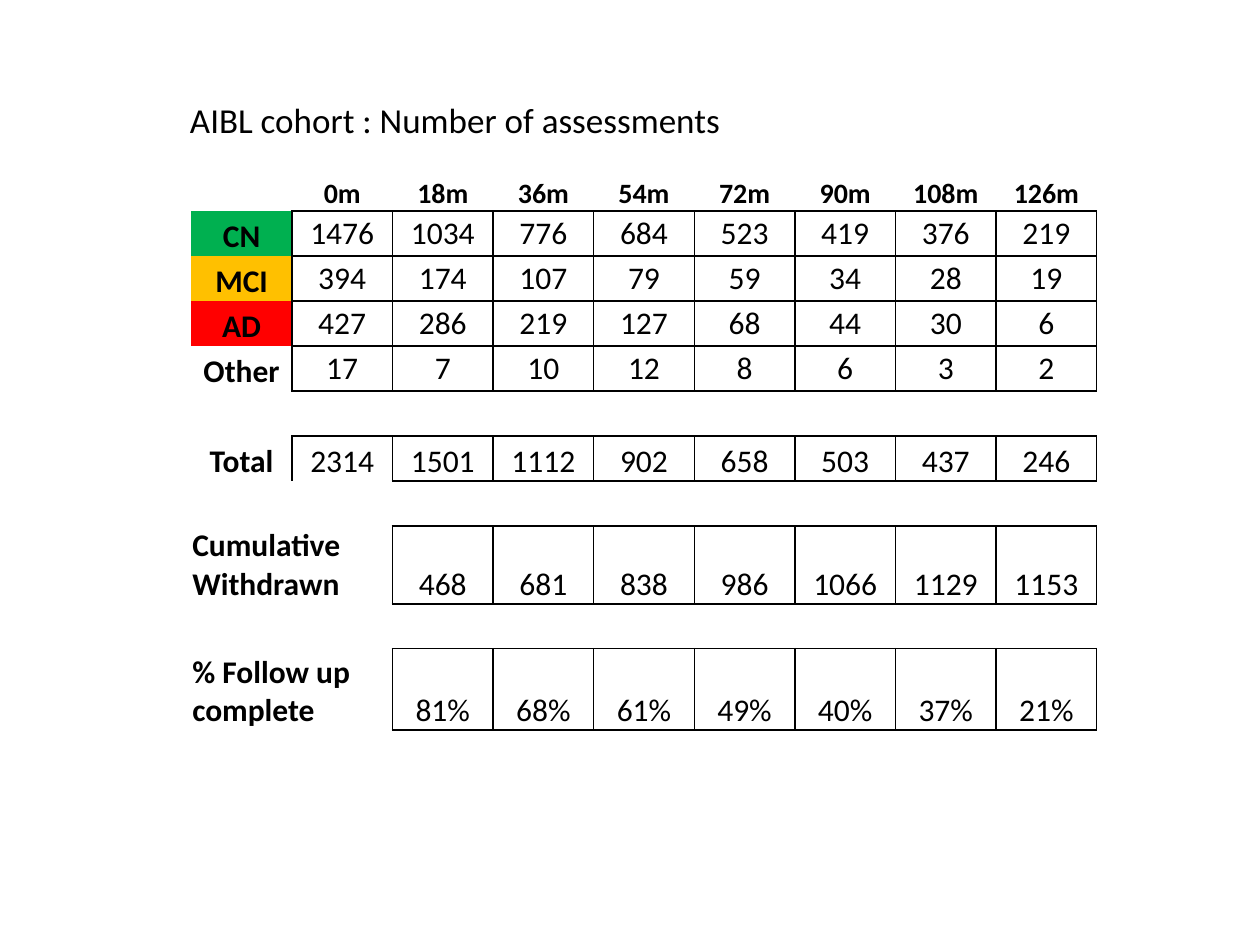
from dataclasses import dataclass

import lxml.etree
import pptx
import pptx.dml.color
import pptx.enum.text
import pptx.oxml.ns
import pptx.util

Pt = pptx.util.Pt
ALIGN = pptx.enum.text.PP_ALIGN
ANCHOR = pptx.enum.text.MSO_ANCHOR

COLORS = {"text": "000000", "border": "000000",
          "CN": "00B050", "MCI": "FFC000", "AD": "FF0000"}
FONT = "Calibri"
COL_W, ROW_H, LAST_ROW_H = 57.5, 25.7, 46.5
# Border tag and the step (row, column) to the neighbour on that side
SIDES = {"a:lnL": (0, -1), "a:lnR": (0, 1), "a:lnT": (-1, 0), "a:lnB": (1, 0)}


@dataclass
class Row:
    label: str = ""
    values: str = ""
    anchor: ANCHOR = ANCHOR.BOTTOM
    header: bool = False
    wide: bool = False  # label spans the first two columns

    def texts(self) -> list[str]:
        texts = [self.label] + [""] * self.wide + self.values.split()
        return texts + [""] * (9 - len(texts))


ROWS = [
    Row("", "0m 18m 36m 54m 72m 90m 108m 126m", header=True),
    Row("CN", "1476 1034 776 684 523 419 376 219", ANCHOR.MIDDLE),
    Row("MCI", "394 174 107 79 59 34 28 19", ANCHOR.MIDDLE),
    Row("AD", "427 286 219 127 68 44 30 6", ANCHOR.MIDDLE),
    Row("Other", "17 7 10 12 8 6 3 2", ANCHOR.MIDDLE),
    Row(),
    Row("Total", "2314 1501 1112 902 658 503 437 246"),
    Row(wide=True),
    Row("Cumulative Withdrawn", "468 681 838 986 1066 1129 1153", wide=True),
    Row(wide=True),
    Row("% Follow up complete", "81% 68% 61% 49% 40% 37% 21%", wide=True),
]
GRID = [row.texts() for row in ROWS]


def rgb(name: str) -> pptx.dml.color.RGBColor:
    return pptx.dml.color.RGBColor.from_string(COLORS[name])


def add_run(p, text: str, size: float, bold: bool = False) -> None:
    r = p.add_run()
    r.text = text
    for name, value in {"name": FONT, "size": Pt(size), "bold": bold}.items():
        setattr(r.font, name, value)
    r.font.color.rgb = rgb("text")


def is_boxed(i: int, j: int) -> bool:
    """Every value below the header has a box around it."""
    return (0 <= i < len(GRID) and 1 <= j < 9
            and not ROWS[i].header and bool(GRID[i][j]))


def set_borders(cell, i: int, j: int) -> None:
    qn = pptx.oxml.ns.qn
    tcPr = cell._tc.get_or_add_tcPr()
    for tag, (di, dj) in SIDES.items():
        ln = lxml.etree.SubElement(tcPr, qn(tag), w=str(Pt(1)))
        drawn = is_boxed(i, j) or is_boxed(i + di, j + dj)
        if drawn and not cell.is_spanned:
            fill = lxml.etree.SubElement(ln, qn("a:solidFill"))
            lxml.etree.SubElement(fill, qn("a:srgbClr"), val=COLORS["border"])
        else:
            lxml.etree.SubElement(ln, qn("a:noFill"))


def fill_cell(cell, i: int, j: int) -> None:
    row, text = ROWS[i], GRID[i][j]
    is_label = j == 0
    set_borders(cell, i, j)
    if is_label and text in COLORS:
        cell.fill.solid()
        cell.fill.fore_color.rgb = rgb(text)
    else:
        cell.fill.background()
    layout = {"margin_left": Pt(0.6), "margin_right": Pt(0.6),
              "margin_top": Pt(0.6), "margin_bottom": Pt(0),
              "vertical_anchor": ANCHOR.BOTTOM if is_label else row.anchor}
    for name, value in layout.items():
        setattr(cell, name, value)
    if text:
        p = cell.text_frame.paragraphs[0]
        p.alignment = ALIGN.LEFT if is_label and row.wide else ALIGN.CENTER
        add_run(p, text, 16 if row.header else 18, is_label or row.header)


def add_counts_table(s) -> None:
    heights = [ROW_H] * (len(ROWS) - 1) + [LAST_ROW_H]
    tbl = s.shapes.add_table(len(ROWS), 9, Pt(109.3), Pt(95),
                             Pt(9 * COL_W), Pt(sum(heights))).table
    tbl.first_row = tbl.horz_banding = False
    for col in tbl.columns:
        col.width = Pt(COL_W)
    for i, height in enumerate(heights):
        tbl.rows[i].height = Pt(height)
        if ROWS[i].wide:
            tbl.cell(i, 0).merge(tbl.cell(i, 1))
        for j in range(9):
            fill_cell(tbl.cell(i, j), i, j)


def add_title(s) -> None:
    tf = s.shapes.add_textbox(Pt(101.5), Pt(52.5), Pt(318), Pt(31.5)).text_frame
    tf.word_wrap = False
    tf.auto_size = pptx.enum.text.MSO_AUTO_SIZE.SHAPE_TO_FIT_TEXT
    add_run(tf.paragraphs[0], "AIBL cohort : Number of assessments", 20)


def main() -> None:
    prs = pptx.Presentation()
    prs.slide_width, prs.slide_height = Pt(720), Pt(540)
    s = prs.slides.add_slide(prs.slide_layouts[6])
    add_counts_table(s)
    add_title(s)
    prs.save("out.pptx")


if __name__ == "__main__":
    main()
